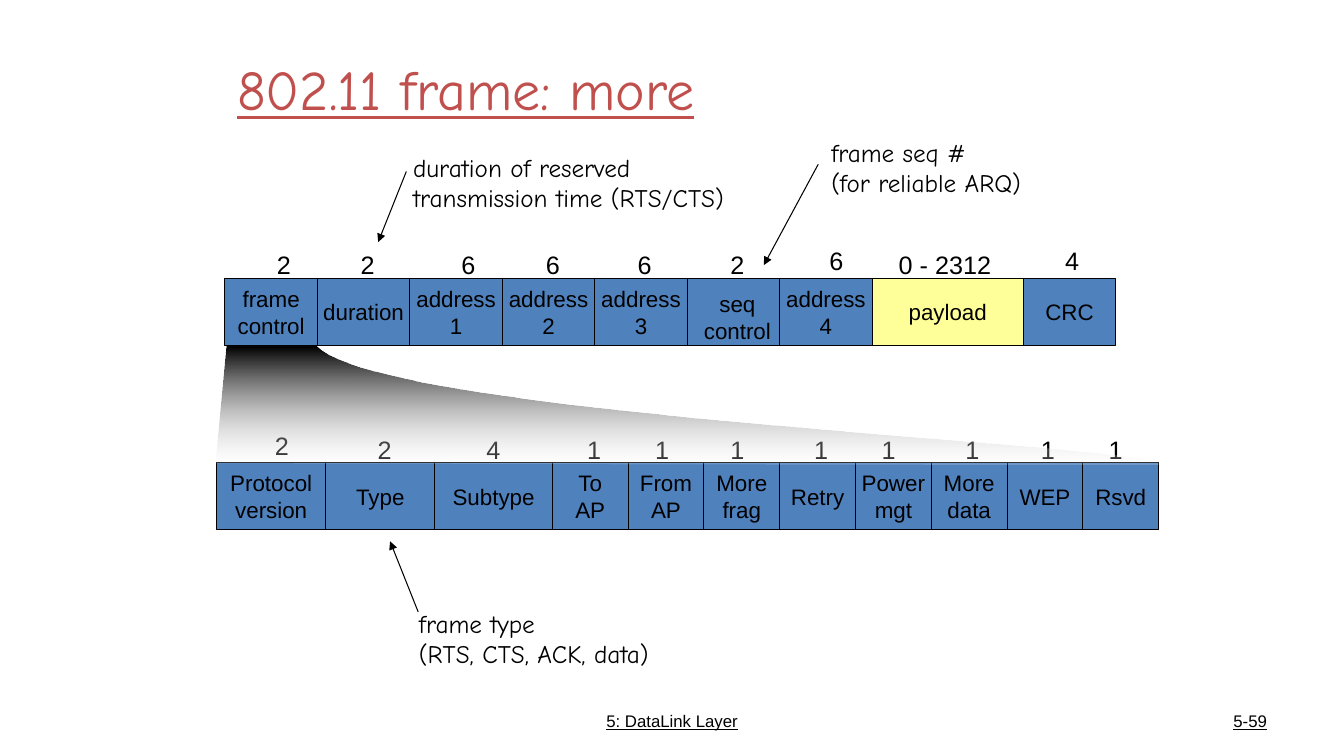
from lxml.etree import SubElement
from pptx import Presentation
from pptx.dml.color import RGBColor
from pptx.enum.shapes import MSO_CONNECTOR, MSO_SHAPE
from pptx.enum.text import MSO_ANCHOR, MSO_AUTO_SIZE, PP_ALIGN
from pptx.oxml.ns import qn
from pptx.util import Cm, Pt

COLORS = {"ink": "000000", "cell": "4F81BD", "payload": "FFFF99",
          "title": "C0504D", "fade": "FFFFFF"}
SANS, HAND = "Arial", "Comic Neue"
TITLE = "802.11 frame: more"
HIGH = 1.69

# name, width, size in bytes or bits, left and top of that size
FRAME = (5.67, 7.01, [
    ("frame\ncontrol", 2.33, "2", 6.73, 6.17),
    ("duration", 2.33, "2", 8.84, 6.17),
    ("address\n1", 2.33, "6", 11.38, 6.17),
    ("address\n2", 2.33, "6", 13.51, 6.17),
    ("address\n3", 2.33, "6", 15.82, 6.17),
    ("", 2.33, "2", 18.16, 6.17),
    ("address\n4", 2.33, "6", 20.65, 6.05),
    ("payload", 3.81, "0 - 2312", 22.4, 6.17),
    ("CRC", 2.33, "4", 26.59, 6.05),
])
CONTROL = (5.46, 11.66, [
    ("Protocol\nversion", 2.75, "2", 6.68, 10.72),
    ("Type", 2.75, "2", 9.27, 10.82),
    ("Subtype", 2.96, "4", 12.01, 10.82),
    ("To\nAP", 1.91, "1", 14.55, 10.82),
    ("From\nAP", 1.91, "1", 16.26, 10.82),
    ("More\nfrag", 1.91, "1", 18.16, 10.82),
    ("Retry", 1.91, "1", 20.27, 10.82),
    ("Power\nmgt", 1.91, "1", 21.97, 10.82),
    ("More\ndata", 1.91, "1", 24.08, 10.82),
    ("WEP", 1.91, "1", 25.98, 10.82),
    ("Rsvd", 1.91, "1", 27.69, 10.82),
])
SEQ = ("seq\ncontrol", 17.48, 7.19, 2.21, 1.63)
NOTES = [
    ("duration of reserved\ntransmission time (RTS/CTS)", 10.16, 3.71, 9.22),
    ("frame seq #\n(for reliable ARQ)", 20.7, 3.33, 5.97),
    ("frame type\n(RTS, CTS, ACK, data)", 10.31, 15.21, 7.16),
]
ARROWS = [(10.24, 4.32, 9.53, 6.1), (20.62, 4.14, 19.25, 6.68),
          (10.54, 15.42, 9.83, 13.64)]
FOOT = [("5: DataLink Layer", 11.58, 10.72, PP_ALIGN.CENTER),
        ("5-59", 24.28, 7.9, PP_ALIGN.RIGHT)]
CURVE = [(29.21, 11.71), (29.64, 11.2), (9.73, 10.54), (8, 8.74)]
CORNERS = [(5.72, 8.74), (5.44, 11.66)]


def rgb(name):
    return RGBColor.from_string(COLORS[name])


def write(shape, text, size, face=SANS, align=PP_ALIGN.LEFT, color="ink",
          wrap=False, line=False, anchor=MSO_ANCHOR.TOP):
    frame = shape.text_frame
    frame.text = text
    frame.word_wrap = wrap
    frame.vertical_anchor = anchor
    for para in frame.paragraphs:
        para.alignment = align
        font = para.font
        font.size, font.name, font.underline = Pt(size), face, line
        font.color.rgb = rgb(color)


def label(home, text, left, top, width, height, size, **style):
    box = home.add_textbox(Cm(left), Cm(top), Cm(width), Cm(height))
    write(box, text, size, **style)
    return box


def row(shapes, left, top, fields):
    group = shapes.add_group_shape().shapes
    for name, width, count, numx, numy in fields:
        cell = group.add_shape(MSO_SHAPE.RECTANGLE, Cm(left), Cm(top),
                               Cm(width), Cm(HIGH))
        cell.shadow.inherit = False
        cell.fill.solid()
        cell.fill.fore_color.rgb = rgb("payload" if name == "payload" else "cell")
        cell.line.color.rgb = rgb("ink")
        cell.line.width = Pt(0.75)
        if name:
            write(cell, name, 16, align=PP_ALIGN.CENTER, anchor=MSO_ANCHOR.MIDDLE)
        left += width
    for name, width, count, numx, numy in fields:
        wide = 0.86 if len(count) == 1 else 2.84
        box = label(group, count, numx, numy, wide, 1.02, 18)
        box.text_frame.auto_size = MSO_AUTO_SIZE.SHAPE_TO_FIT_TEXT
    return group


def bezier(points, steps=48):
    for step in range(steps + 1):
        t = step / steps
        parts = ((1 - t) ** 3, 3 * t * (1 - t) ** 2, 3 * t * t * (1 - t), t ** 3)
        yield tuple(sum(k * p[axis] for k, p in zip(parts, points))
                    for axis in (0, 1))


def zoom(shapes):
    dots = [(Cm(x), Cm(y)) for x, y in CORNERS + list(bezier(CURVE))]
    pen = shapes.build_freeform(*dots[0])
    pen.add_line_segments(dots[1:], close=True)
    fan = pen.convert_to_shape()
    fan.shadow.inherit = False
    fan.line.fill.background()
    fan.fill.gradient()
    fan.fill.gradient_angle = 270
    for stop, name in zip(fan.fill.gradient_stops, ("ink", "fade")):
        stop.color.rgb = rgb(name)
    last = list(fan.element.spPr.iter(qn("a:srgbClr")))[-1]
    SubElement(last, qn("a:alpha"), val="18000")


def arrow(shapes, *ends):
    link = shapes.add_connector(MSO_CONNECTOR.STRAIGHT, *map(Cm, ends))
    link.line.color.rgb = rgb("ink")
    link.line.width = Pt(0.75)
    SubElement(link.line._get_or_add_ln(), qn("a:tailEnd"), type="triangle")
    SubElement(link.element.spPr, qn("a:effectLst"))


def main():
    deck = Presentation()
    deck.slide_width, deck.slide_height = Cm(33.87), Cm(19.05)
    slide = deck.slides.add_slide(deck.slide_layouts[5])
    shapes = slide.shapes
    title = shapes.title
    title.left, title.top = Cm(5.72), Cm(0.64)
    title.width, title.height = Cm(21.59), Cm(3.18)
    write(title, TITLE, 40, face=HAND, color="title", wrap=True, line=True,
          anchor=MSO_ANCHOR.MIDDLE)
    for text, left, width, align in FOOT:
        label(shapes, text, left, 17.65, width, 1.02, 12, align=align,
              wrap=True, line=True, anchor=MSO_ANCHOR.MIDDLE)
    top = row(shapes, *FRAME)
    label(top, *SEQ, 16, align=PP_ALIGN.CENTER)
    row(shapes, *CONTROL)
    zoom(shapes)
    for text, left, high, width in NOTES:
        label(shapes, text, left, high, width, 1.78, 18, face=HAND)
    for ends in ARROWS:
        arrow(shapes, *ends)
    deck.save("out.pptx")


if __name__ == "__main__":
    main()
